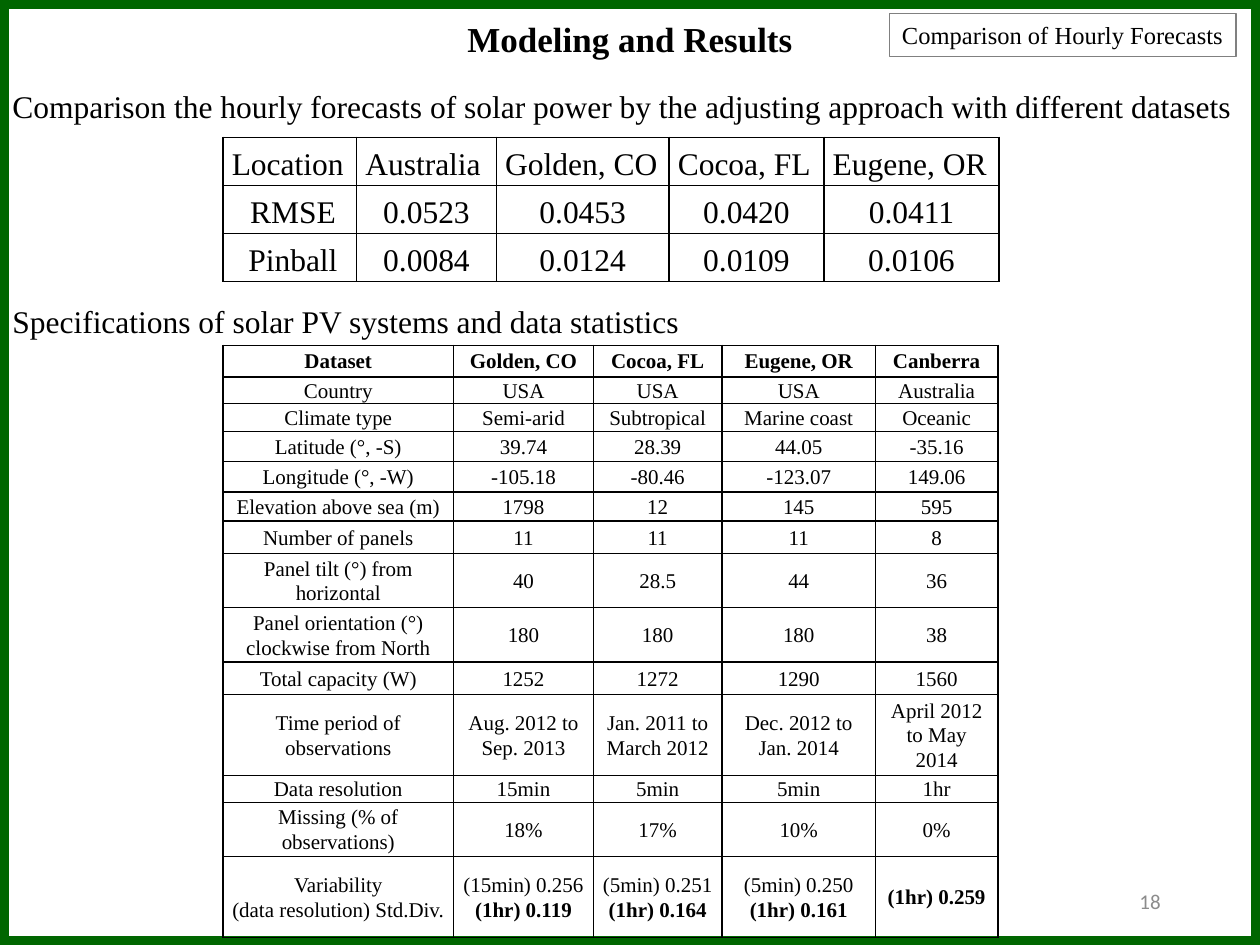
from lxml import etree
from pptx import Presentation
from pptx import util as u
from pptx.dml.color import RGBColor
from pptx.enum import shapes, text
from pptx.oxml import ns

# Content
TITLE = "Modeling and Results"
TOPIC = "Comparison of Hourly Forecasts"
FORECAST_CAPTION = ("Comparison the hourly forecasts of solar power by the "
                    "adjusting approach with different datasets")
SYSTEM_CAPTION = "Specifications of solar PV systems and data statistics"
PAGE_NUMBER = "18"

FORECASTS = [
    ("Location", "Australia", "Golden, CO", "Cocoa, FL", "Eugene, OR"),
    ("RMSE", "0.0523", "0.0453", "0.0420", "0.0411"),
    ("Pinball", "0.0084", "0.0124", "0.0109", "0.0106"),
]
FORECAST_COLUMNS = [1.06, 1.11, 1.37, 1.23, 1.39]
FORECAST_ROWS = [0.35] * len(FORECASTS)

# Each system row starts with its height
SYSTEMS = [
    (0.25, "Dataset", "Golden, CO", "Cocoa, FL", "Eugene, OR", "Canberra"),
    (0.21, "Country", "USA", "USA", "USA", "Australia"),
    (0.22, "Climate type", "Semi-arid", "Subtropical", "Marine coast", "Oceanic"),
    (0.24, "Latitude (°, -S)", "39.74", "28.39", "44.05", "-35.16"),
    (0.24, "Longitude (°, -W)", "-105.18", "-80.46", "-123.07", "149.06"),
    (0.23, "Elevation above sea (m)", "1798", "12", "145", "595"),
    (0.26, "Number of panels", "11", "11", "11", "8"),
    (0.43, "Panel tilt (°) from horizontal", "40", "28.5", "44", "36"),
    (0.43, "Panel orientation (°) clockwise from North", "180", "180", "180", "38"),
    (0.26, "Total capacity (W)", "1252", "1272", "1290", "1560"),
    (0.64, "Time period of observations", "Aug. 2012 to Sep. 2013",
     "Jan. 2011 to March 2012", "Dec. 2012 to Jan. 2014", "April 2012 to May 2014"),
    (0.21, "Data resolution", "15min", "5min", "5min", "1hr"),
    (0.43, "Missing (% of observations)", "18%", "17%", "10%", "0%"),
    (0.64, "Variability\n(data resolution) Std.Div.", "(15min) 0.256\n(1hr) 0.119",
     "(5min) 0.251\n(1hr) 0.164", "(5min) 0.250\n(1hr) 0.161", "(1hr) 0.259"),
]
SYSTEM_COLUMNS = [1.83, 1.11, 1.02, 1.22, 0.97]

LEFT, CENTER, RIGHT, JUSTIFY = (
    text.PP_ALIGN.LEFT, text.PP_ALIGN.CENTER, text.PP_ALIGN.RIGHT, text.PP_ALIGN.JUSTIFY)


def color(value):
    return RGBColor.from_string(value)


def write(frame, content, size=18, font="Times New Roman", ink="000000",
          bold=False, align=LEFT, spacing=None, bold_prefix=None):
    """Write one paragraph per line; lines with bold_prefix are bold."""
    frame.text = content
    for paragraph in frame.paragraphs:
        paragraph.alignment = align
        paragraph.line_spacing = spacing
        style = paragraph.runs[0].font
        style.size, style.name = u.Pt(size), font
        style.color.rgb = color(ink)
        style.bold = bold or bool(bold_prefix and paragraph.text.startswith(bold_prefix))


def add_text(slide, box, content, wrap=True, anchor=text.MSO_ANCHOR.TOP, **style):
    frame = slide.shapes.add_textbox(*map(u.Inches, box)).text_frame
    frame.word_wrap = wrap
    frame.vertical_anchor = anchor
    write(frame, content, **style)


def add_box(slide, box, line, width):
    shape = slide.shapes.add_shape(shapes.MSO_SHAPE.RECTANGLE, *map(u.Inches, box))
    shape.shadow.inherit = False
    shape.fill.background()
    shape.line.color.rgb = color(line)
    shape.line.width = u.Pt(width)
    return shape


def add_borders(cell):
    properties = cell._tc.get_or_add_tcPr()
    for side in ("lnL", "lnR", "lnT", "lnB"):
        line = etree.SubElement(properties, ns.qn(f"a:{side}"), w=str(u.Pt(1)))
        fill = etree.SubElement(line, ns.qn("a:solidFill"))
        etree.SubElement(fill, ns.qn("a:srgbClr"), val="000000")


def add_grid(slide, top, rows, widths, heights, anchor, top_margin, style_of):
    """Draw a ruled table; style_of(row, column) gives the text format."""
    table = slide.shapes.add_table(
        len(rows), len(widths), u.Inches(1.77), u.Inches(top),
        u.Inches(sum(widths)), u.Inches(sum(heights))).table
    table.first_row = table.horz_banding = False
    for column, width in zip(table.columns, widths):
        column.width = u.Inches(width)
    for i, (values, height) in enumerate(zip(rows, heights)):
        table.rows[i].height = u.Inches(height)
        for j, value in enumerate(values):
            cell = table.cell(i, j)
            cell.margin_left = cell.margin_right = u.Inches(0.07)
            cell.margin_top, cell.margin_bottom = u.Inches(top_margin), 0
            cell.vertical_anchor = anchor
            add_borders(cell)
            cell.fill.background()
            write(cell.text_frame, value, spacing=1.07, **style_of(i, j))
    return table


def forecast_style(row, column):
    if row:
        return {"align": CENTER}
    return {"align": LEFT if column < 2 else JUSTIFY}


def system_style(row, column):
    return {"size": 12, "align": CENTER, "bold": row == 0, "bold_prefix": "(1hr)"}


def main():
    presentation = Presentation()
    presentation.slide_width, presentation.slide_height = u.Inches(10), u.Inches(7.5)
    slide = presentation.slides.add_slide(presentation.slide_layouts[5])

    # Frame and page number
    add_box(slide, (0, 0, 10, 7.5), "006600", 10)
    add_text(slide, (7.06, 6.95, 2.25, 0.4), PAGE_NUMBER, size=12, font="Calibri",
             ink="8C8C8C", align=RIGHT, anchor=text.MSO_ANCHOR.MIDDLE)

    # Title and topic
    title = slide.shapes.title
    title.left, title.top, title.width, title.height = map(u.Inches, (3.6, 0.09, 2.8, 0.44))
    title.text_frame.word_wrap = False
    title.text_frame.auto_size = text.MSO_AUTO_SIZE.NONE
    title.text_frame.vertical_anchor = text.MSO_ANCHOR.TOP
    write(title.text_frame, TITLE, size=20, bold=True, align=CENTER)
    topic = add_box(slide, (7.06, 0.11, 2.75, 0.34), "808080", 0.75)
    topic.text_frame.vertical_anchor = text.MSO_ANCHOR.TOP
    write(topic.text_frame, TOPIC, size=14)

    # Forecast comparison
    add_text(slide, (0, 0.64, 10.19, 0.4), FORECAST_CAPTION)
    forecasts = add_grid(slide, 1.09, FORECASTS, FORECAST_COLUMNS, FORECAST_ROWS,
                         text.MSO_ANCHOR.TOP, 0.06, forecast_style)
    for row in (1, 2):
        paragraph = forecasts.cell(row, 0).text_frame.paragraphs[0]
        paragraph._p.get_or_add_pPr().set("marL", str(u.Inches(0.05)))

    # System specifications
    add_text(slide, (0, 2.35, 5.62, 0.4), SYSTEM_CAPTION, wrap=False)
    add_grid(slide, 2.74, [row[1:] for row in SYSTEMS], SYSTEM_COLUMNS,
             [row[0] for row in SYSTEMS], text.MSO_ANCHOR.MIDDLE, 0, system_style)

    presentation.save("out.pptx")


if __name__ == "__main__":
    main()
